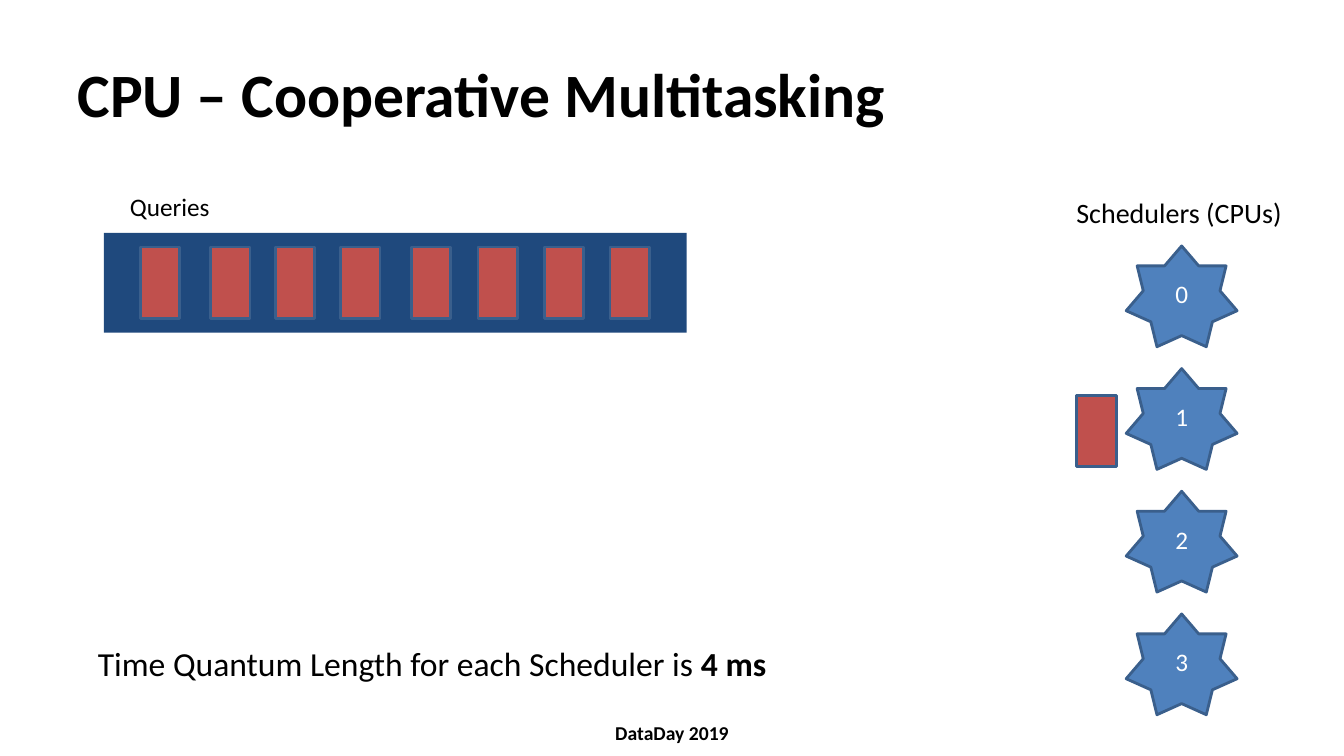
from pptx import Presentation
from pptx.dml.color import RGBColor
from pptx.enum.shapes import MSO_SHAPE
from pptx.enum.text import MSO_ANCHOR, PP_ALIGN
from pptx.util import Inches, Pt

RECTANGLE, STAR = MSO_SHAPE.RECTANGLE, MSO_SHAPE.STAR_7_POINT
LEFT, CENTER = PP_ALIGN.LEFT, PP_ALIGN.CENTER
TOP, MIDDLE = MSO_ANCHOR.TOP, MSO_ANCHOR.MIDDLE

COLORS = {
    "text": "000000",
    "star_text": "FFFFFF",
    "queue": "1F497D",
    "query": "C0504D",
    "scheduler": "4F81BD",
    "outline": "3A5F8C",
}
FONT = "Calibri"

TITLE = "CPU – Cooperative Multitasking"
QUERIES_LABEL = "Queries"
SCHEDULERS_LABEL = "Schedulers (CPUs) "
QUANTUM = [("Time Quantum Length for each Scheduler is ", False), ("4 ms", True)]
FOOTER = "DataDay 2019"
SCHEDULERS = ["0", "1", "2", "3"]
QUEUED_LEFTS = [1.39, 2.09, 2.73, 3.38, 4.08, 4.74, 5.4, 6.05]
QUERY_TOP, QUERY_SIZE = 2.45, (0.39, 0.71)
RUNNING_QUERY = (10.68, 3.92)
STAR_LEFT, STAR_TOP, STAR_STEP = 11.17, 2.44, 1.217
STAR_SIZE = (1.1, 1)


def write(holder, runs, size=18, bold=False, color="text", align=LEFT, anchor=TOP):
    frame = holder.text_frame
    frame.word_wrap = True
    frame.vertical_anchor = anchor
    paragraph = frame.paragraphs[0]
    paragraph.alignment = align
    for words, strong in [(runs, bold)] if isinstance(runs, str) else runs:
        run = paragraph.add_run()
        run.text = words
        run.font.name = FONT
        run.font.size = Pt(size)
        run.font.bold = strong
        run.font.color.rgb = RGBColor.from_string(COLORS[color])


def add_label(slide, box, runs, **style):
    label = slide.shapes.add_textbox(*map(Inches, box))
    write(label, runs, **style)


def add_block(slide, kind, box, fill, outlined=True):
    block = slide.shapes.add_shape(kind, *map(Inches, box))
    block.shadow.inherit = False
    block.fill.solid()
    block.fill.fore_color.rgb = RGBColor.from_string(COLORS[fill])
    if outlined:
        block.line.color.rgb = RGBColor.from_string(COLORS["outline"])
        block.line.width = Pt(2)
    else:
        block.line.fill.background()
    return block


def main():
    deck = Presentation()
    deck.slide_width, deck.slide_height = Inches(13.33), Inches(7.5)
    slide = deck.slides.add_slide(deck.slide_layouts[6])

    add_label(slide, (3.72, 7.06, 5.89, 0.42), FOOTER,
              size=14, bold=True, align=CENTER, anchor=MIDDLE)
    add_block(slide, RECTANGLE, (1.03, 2.31, 5.78, 0.99), "queue", outlined=False)
    add_label(slide, (0.67, 0.3, 12, 1.25), TITLE, size=44, bold=True, anchor=MIDDLE)
    add_label(slide, (10.37, 1.89, 2.71, 0.44), SCHEDULERS_LABEL, size=20, align=CENTER)
    add_label(slide, (1.19, 1.85, 2.15, 0.4), QUERIES_LABEL)

    for index, number in enumerate(SCHEDULERS):
        scheduler = add_block(
            slide, STAR, (STAR_LEFT, STAR_TOP + index * STAR_STEP, *STAR_SIZE), "scheduler")
        write(scheduler, number, color="star_text", align=CENTER, anchor=MIDDLE)

    queued = [(left, QUERY_TOP) for left in QUEUED_LEFTS]
    for corner in queued + [RUNNING_QUERY]:
        add_block(slide, RECTANGLE, (*corner, *QUERY_SIZE), "query")

    add_label(slide, (0.41, 6.33, 7.75, 0.5), QUANTUM, size=24, align=CENTER)
    deck.save("out.pptx")


if __name__ == "__main__":
    main()
